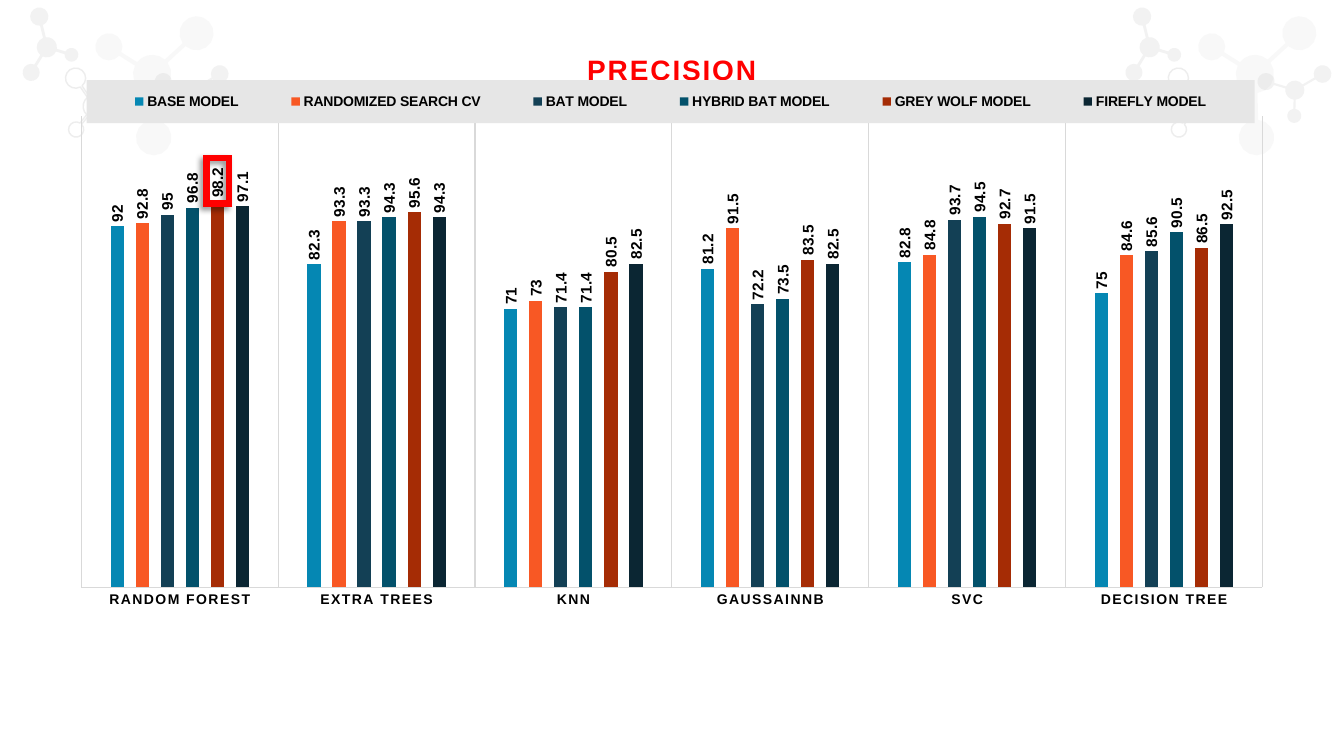
import math
import pptx
import pptx.chart.data
import pptx.dml.color
import pptx.enum.chart
import pptx.enum.shapes
import pptx.oxml
import pptx.oxml.ns
import pptx.util
from pptx.util import Pt

NS = pptx.oxml.ns.nsdecls("a", "c")
qn = pptx.oxml.ns.qn


def rgb(color):
    return pptx.dml.color.RGBColor.from_string(color)


def write(p, text, size=20, color="000000", bold=True, spacing=0):
    r = p.add_run()
    r.text = text
    r.font.name = "Arial"
    r.font.size = Pt(size)
    r.font.bold = bold
    r.font.color.rgb = rgb(color)
    r.font._element.set("spc", str(spacing))


prs = pptx.Presentation()
prs.slide_width, prs.slide_height = Pt(960), Pt(540)
s = prs.slides.add_slide(prs.slide_layouts[6])

# Molecules: colour, opacity, outlined, bond width, hub, atoms (x, y, radius)
molecules = [
    ("F2F2F2", 100, False, 1.5, (137.2, 64.4, 6.8),
     [(157, 52.9, 6.3), (116.6, 58.3, 6.1), (136.8, 82.8, 5)]),
    ("A6A6A6", 20, True, 1.5, (67.7, 76, 8.3),
     [(93.6, 79.5, 7.2), (54, 55.8, 7.2), (54.4, 92.5, 5.4)]),
    ("808080", 5, False, 3, (108.7, 52.9, 13.7),
     [(109.8, 98.3, 12.7), (77.8, 33.5, 9.7), (140.4, 23.8, 12.2)]),
    ("F2F2F2", 100, False, 2, (33.5, 33.8, 7.2),
     [(28.1, 11.9, 6.5), (22.3, 51.8, 6.1), (51.1, 39.2, 4.9)]),
]
for shift in (787.7, 0):
    for color, opacity, outlined, width, (hx, hy, hr), atoms in molecules:
        # Walk round the hub, going out along each bond and round its atom
        bonds = sorted((math.atan2(y - hy, x - hx), x, y, radius)
                       for x, y, radius in atoms)
        hub_gap = math.asin(width / 2 / hr)
        arcs = []
        for i, (angle, x, y, radius) in enumerate(bonds):
            gap = math.asin(width / 2 / radius)
            following = bonds[(i + 1) % 3][0] + (2 * math.pi if i == 2 else 0)
            arcs.append((x, y, radius, angle + math.pi + gap,
                         angle + 3 * math.pi - gap, 14))
            arcs.append((hx, hy, hr, angle + hub_gap, following - hub_gap, 5))
        points = []
        for x, y, radius, start, end, steps in arcs:
            for k in range(steps + 1):
                turn = start + (end - start) * k / steps
                points.append((Pt(x + shift + radius * math.cos(turn)),
                               Pt(y + radius * math.sin(turn))))
        builder = s.shapes.build_freeform(*points[0])
        builder.add_line_segments(points[1:], close=True)
        sp = builder.convert_to_shape()
        sp.shadow.inherit = False
        if outlined:
            sp.fill.background()
            sp.line.color.rgb = rgb(color)
            sp.line.width = Pt(1)
        else:
            sp.fill.solid()
            sp.fill.fore_color.rgb = rgb(color)
            sp.line.fill.background()
        if opacity < 100:
            for clr in sp._element.spPr.iter(qn("a:srgbClr")):
                clr.append(pptx.oxml.parse_xml(
                    f'<a:alpha {NS} val="{opacity * 1000}"/>'))

# Precision chart
data = pptx.chart.data.CategoryChartData()
data.categories = ["RANDOM FOREST", "EXTRA TREES", "KNN", "GAUSSAINNB", "SVC",
                   "DECISION TREE"]
models = [
    ("BASE MODEL", "0587B3", [92, 82.3, 71, 81.2, 82.8, 75]),
    ("RANDOMIZED SEARCH CV", "F85824", [92.8, 93.3, 73, 91.5, 84.8, 84.6]),
    ("BAT MODEL", "134055", [95, 93.3, 71.4, 72.2, 93.7, 85.6]),
    ("HYBRID BAT MODEL", "03516B", [96.8, 94.3, 71.4, 73.5, 94.5, 90.5]),
    ("GREY WOLF MODEL", "A52C05", [98.2, 95.6, 80.5, 83.5, 92.7, 86.5]),
    ("FIREFLY MODEL", "0B2633", [97.1, 94.3, 82.5, 82.5, 91.5, 92.5]),
]
for name, color, values in models:
    data.add_series(name, values)
chart = s.shapes.add_chart(
    pptx.enum.chart.XL_CHART_TYPE.COLUMN_CLUSTERED,
    Pt(46.8), Pt(20.9), Pt(866.2), Pt(427), data).chart
chart.font.name = "Arial"
chart.font.size = Pt(10)
chart.font.color.rgb = rgb("000000")

chart.has_title = True
title = chart.chart_title
write(title.text_frame.paragraphs[0], "PRECISION", color="FF0000", spacing=120)

# Legend on a grey band
chart.has_legend = True
legend = chart.legend
legend.position = pptx.enum.chart.XL_LEGEND_POSITION.TOP
legend.include_in_layout = False
legend._element.find(qn("c:overlay")).addnext(pptx.oxml.parse_xml(
    f'<c:spPr {NS}><a:solidFill><a:srgbClr val="E6E6E6"/></a:solidFill></c:spPr>'))

# Axes
cat, val = chart.category_axis, chart.value_axis
cat.major_tick_mark = pptx.enum.chart.XL_TICK_MARK.NONE
cat.has_major_gridlines = True
for line in (cat.format.line, cat.major_gridlines.format.line):
    line.color.rgb = rgb("D9D9D9")
    line.width = Pt(0.75)
val.minimum_scale, val.maximum_scale = 0, 120
val.has_major_gridlines = False
val.visible = False

# Bars and upright value labels
plot = chart.plots[0]
plot.gap_width, plot.overlap = 444, -90
plot.vary_by_categories = False
fonts = [(legend.font, 10), (cat.tick_labels.font, 10)]
for series, (name, color, values) in zip(plot.series, models):
    series.format.fill.solid()
    series.format.fill.fore_color.rgb = rgb(color)
    labels = series.data_labels
    labels.show_value = True
    labels.position = pptx.enum.chart.XL_LABEL_POSITION.OUTSIDE_END
    fonts.append((labels.font, 11))
    body = labels._element.find(qn("c:txPr")).find(qn("a:bodyPr"))
    body.set("rot", "-5400000")
    body.set("vert", "horz")
for font, size in fonts:
    font.name = "Arial"
    font.size = Pt(size)
    font.bold = True
    font.color.rgb = rgb("000000")
cat.tick_labels.font._element.set("spc", "120")

# Fixed places inside the chart, in percent of its size
plot_area = chart._chartSpace.chart.plotArea
for el, index, target, box in (
        (title._element, 1, "", {"x": 42.6, "y": 2.9}),
        (legend._element, 1, "", {"x": 1.75, "y": 8.5, "w": 96.3, "h": 7.2}),
        (plot_area, 0, '<c:layoutTarget val="inner"/>',
         {"x": 1.3, "y": 14.6, "w": 97.4, "h": 78.8})):
    for old in el.findall(qn("c:layout")):
        el.remove(old)
    modes = "".join(f'<c:{k}Mode val="edge"/>' for k in box if k in "xy")
    places = "".join(f'<c:{k} val="{v / 100:.4f}"/>' for k, v in box.items())
    el.insert(index, pptx.oxml.parse_xml(
        f"<c:layout {NS}><c:manualLayout>{target}{modes}{places}"
        "</c:manualLayout></c:layout>"))

# Frame round the best value
frame = s.shapes.add_shape(pptx.enum.shapes.MSO_SHAPE.RECTANGLE,
                           Pt(147.6), Pt(113), Pt(15.8), Pt(32.4))
frame.fill.background()
frame.line.color.rgb = rgb("FF0000")
frame.line.width = Pt(4.5)
frame._element.spPr.find(qn("a:ln")).append(
    pptx.oxml.parse_xml(f'<a:miter {NS} lim="800000"/>'))
frame._element.spPr.append(pptx.oxml.parse_xml(
    f'<a:effectLst {NS}><a:outerShdw blurRad="{Pt(4)}" dist="{Pt(3)}" dir="8100000">'
    '<a:srgbClr val="000000"><a:alpha val="40000"/></a:srgbClr>'
    "</a:outerShdw></a:effectLst>"))

prs.save("out.pptx")
